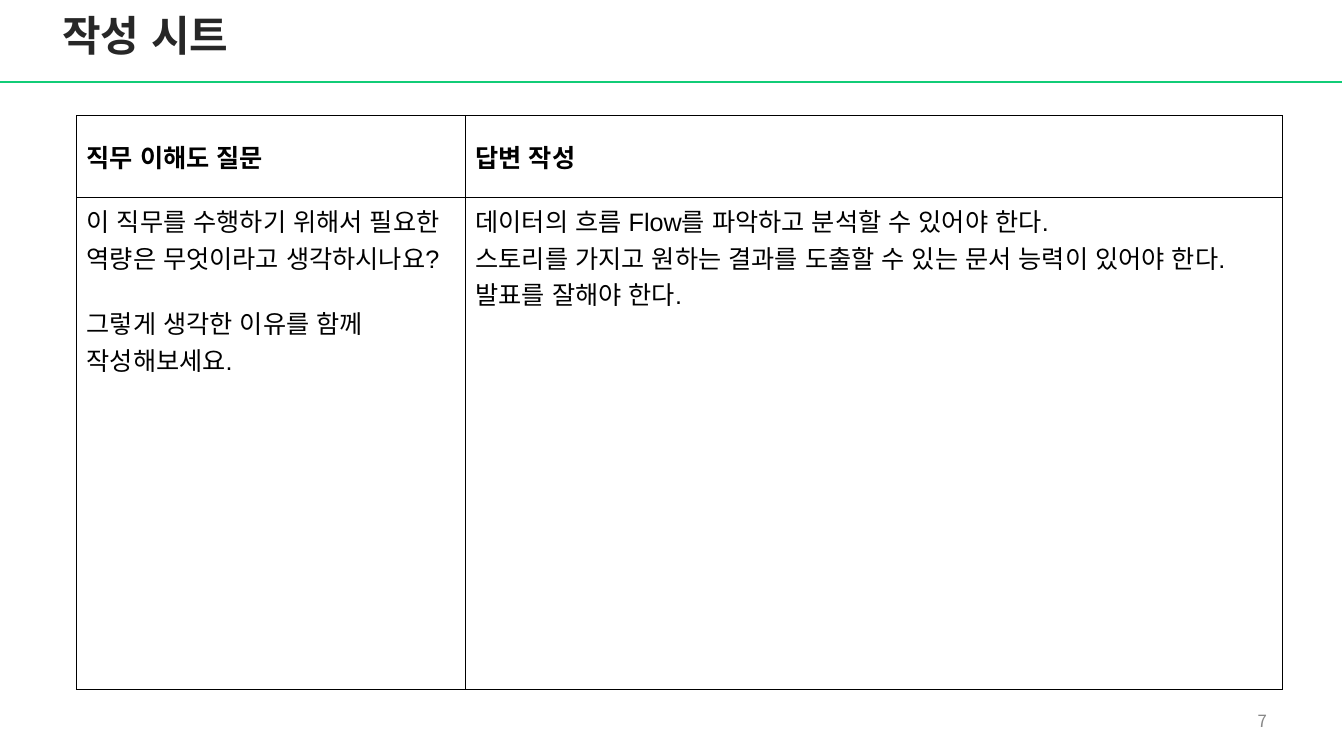
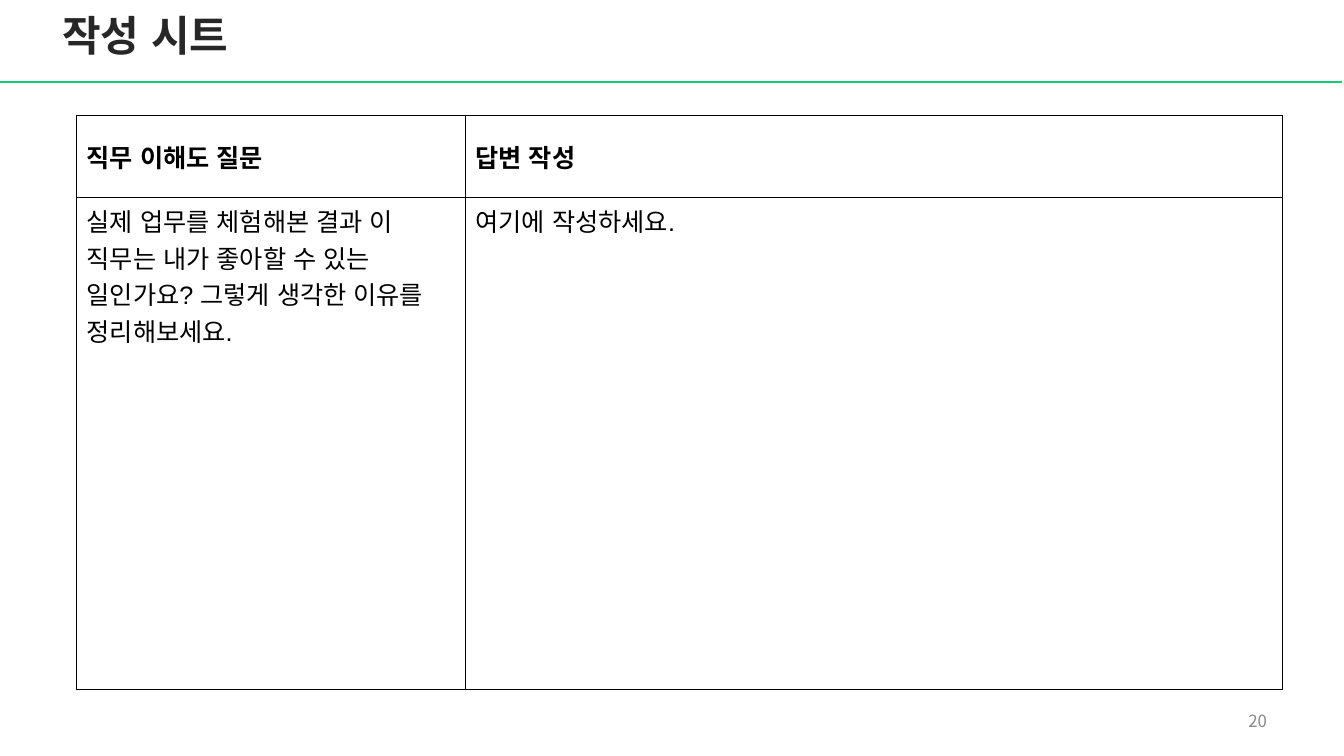
import lxml.etree
import pptx
import pptx.dml.color
import pptx.enum.lang
import pptx.enum.shapes
import pptx.enum.text
import pptx.oxml
import pptx.oxml.ns
import pptx.util

Cm = pptx.util.Cm
Pt = pptx.util.Pt
qn = pptx.oxml.ns.qn
Anchor = pptx.enum.text.MSO_ANCHOR
Align = pptx.enum.text.PP_ALIGN

COLORS = {
    "ink": "000000",
    "title": "272727",
    "accent": "11CC77",
    "page_number": "888888",
}
KOREAN_FONT = "Noto Sans CJK KR"
TITLE = {"name": "Arial", "size": Pt(30), "bold": True, "color": "title"}
HEADING = {"name": "Arial", "size": Pt(18), "bold": True, "color": "ink"}
BODY = {**HEADING, "bold": False}
PAGE_NUMBER = {"name": KOREAN_FONT, "size": Pt(12), "bold": False, "color": "page_number"}

PARAGRAPH_GAP = Pt(20.5)
COLUMN_WIDTHS = [Cm(9.8), Cm(20.6)]
ROW_HEIGHTS = [Cm(2.06), Cm(12.4)]
HEADINGS = ["직무 이해도 질문", "답변 작성"]

SHEETS = [
    {
        "number": "7",
        "question": [
            "이 직무를 수행하기 위해서 필요한 역량은 무엇이라고 생각하시나요?",
            "그렇게 생각한 이유를 함께 작성해보세요.",
        ],
        "answer": [
            "데이터의 흐름 Flow를 파악하고 분석할 수 있어야 한다.",
            "스토리를 가지고 원하는 결과를 도출할 수 있는 문서 능력이 있어야 한다.",
            "발표를 잘해야 한다.",
        ],
    },
    {
        "number": "20",
        "question": [
            "실제 업무를 체험해본 결과 이 직무는 내가 좋아할 수 있는 일인가요? "
            "그렇게 생각한 이유를 정리해보세요.",
        ],
        "answer": ["여기에 작성하세요."],
    },
]


def rgb(name):
    return pptx.dml.color.RGBColor.from_string(COLORS[name])


def set_values(target, values):
    for name, value in values.items():
        setattr(target, name, value)


def style_span(span, style):
    set_values(span.font, {name: value for name, value in style.items() if name != "color"})
    span.font.color.rgb = rgb(style["color"])
    span.font.language_id = pptx.enum.lang.MSO_LANGUAGE_ID.KOREAN
    east_asian = pptx.oxml.parse_xml(
        f'<a:ea {pptx.oxml.ns.nsdecls("a")} typeface="{KOREAN_FONT}"/>'
    )
    span.font._element.find(qn("a:latin")).addnext(east_asian)


def write_text(frame, lines, style, gap=0, **paragraph_values):
    for index, line in enumerate(lines):
        para = frame.add_paragraph() if index else frame.paragraphs[0]
        set_values(para, paragraph_values)
        if index and gap:
            para.space_before = gap
        span = para.add_run()
        span.text = line
        style_span(span, style)


def add_text_box(page, place, text, style, frame_values, **paragraph_values):
    box = page.shapes.add_textbox(*place)
    set_values(box.text_frame, {"word_wrap": True, **frame_values})
    write_text(box.text_frame, [text], style, **paragraph_values)


def add_title(page, text):
    no_margins = {f"margin_{side}": 0 for side in ("left", "top", "right", "bottom")}
    add_text_box(
        page, (Cm(1.57), Cm(0.43), Cm(30.76), Cm(1.27)), text, TITLE,
        no_margins, line_spacing=0.85,
    )


def add_page_number(page, number):
    add_text_box(
        page, (Cm(24.28), Cm(17.65), Cm(7.9), Cm(1.02)), number, PAGE_NUMBER,
        {"vertical_anchor": Anchor.MIDDLE}, alignment=Align.RIGHT,
    )


def add_title_rule(page):
    rule = page.shapes.add_connector(
        pptx.enum.shapes.MSO_CONNECTOR.STRAIGHT, 0, Cm(2.06), Cm(33.83), Cm(2.06)
    )
    rule.line.color.rgb = rgb("accent")
    rule.line.width = Pt(1.5)
    lxml.etree.SubElement(rule._element.spPr, qn("a:effectLst"))


def add_borders(cell):
    properties = cell._tc.get_or_add_tcPr()
    for index, edge in enumerate(("lnL", "lnR", "lnT", "lnB")):
        border = pptx.oxml.parse_xml(
            f'<a:{edge} {pptx.oxml.ns.nsdecls("a")} w="{Pt(0.75)}">'
            f'<a:solidFill><a:srgbClr val="{COLORS["ink"]}"/></a:solidFill></a:{edge}>'
        )
        properties.insert(index, border)


def fill_cell(cell, lines, style, anchor, gap=0):
    cell.fill.background()
    cell.vertical_anchor = anchor
    add_borders(cell)
    write_text(cell.text_frame, lines, style, gap)


def add_worksheet(page, question, answer):
    table = page.shapes.add_table(
        2, 2, Cm(1.93), Cm(2.92), sum(COLUMN_WIDTHS), sum(ROW_HEIGHTS)
    ).table
    set_values(table, {"first_row": False, "horz_banding": False})
    for column, width in zip(table.columns, COLUMN_WIDTHS):
        column.width = width
    for row, height in zip(table.rows, ROW_HEIGHTS):
        row.height = height
    for index, heading in enumerate(HEADINGS):
        fill_cell(table.cell(0, index), [heading], HEADING, Anchor.MIDDLE)
    fill_cell(table.cell(1, 0), question, BODY, Anchor.TOP, PARAGRAPH_GAP)
    fill_cell(table.cell(1, 1), answer, BODY, Anchor.TOP)


def main():
    deck = pptx.Presentation()
    set_values(deck, {"slide_width": Cm(33.87), "slide_height": Cm(19.05)})
    for sheet in SHEETS:
        page = deck.slides.add_slide(deck.slide_layouts[6])
        add_page_number(page, sheet["number"])
        add_title_rule(page)
        add_title(page, "작성 시트")
        add_worksheet(page, sheet["question"], sheet["answer"])
    deck.save("out.pptx")


if __name__ == "__main__":
    main()
